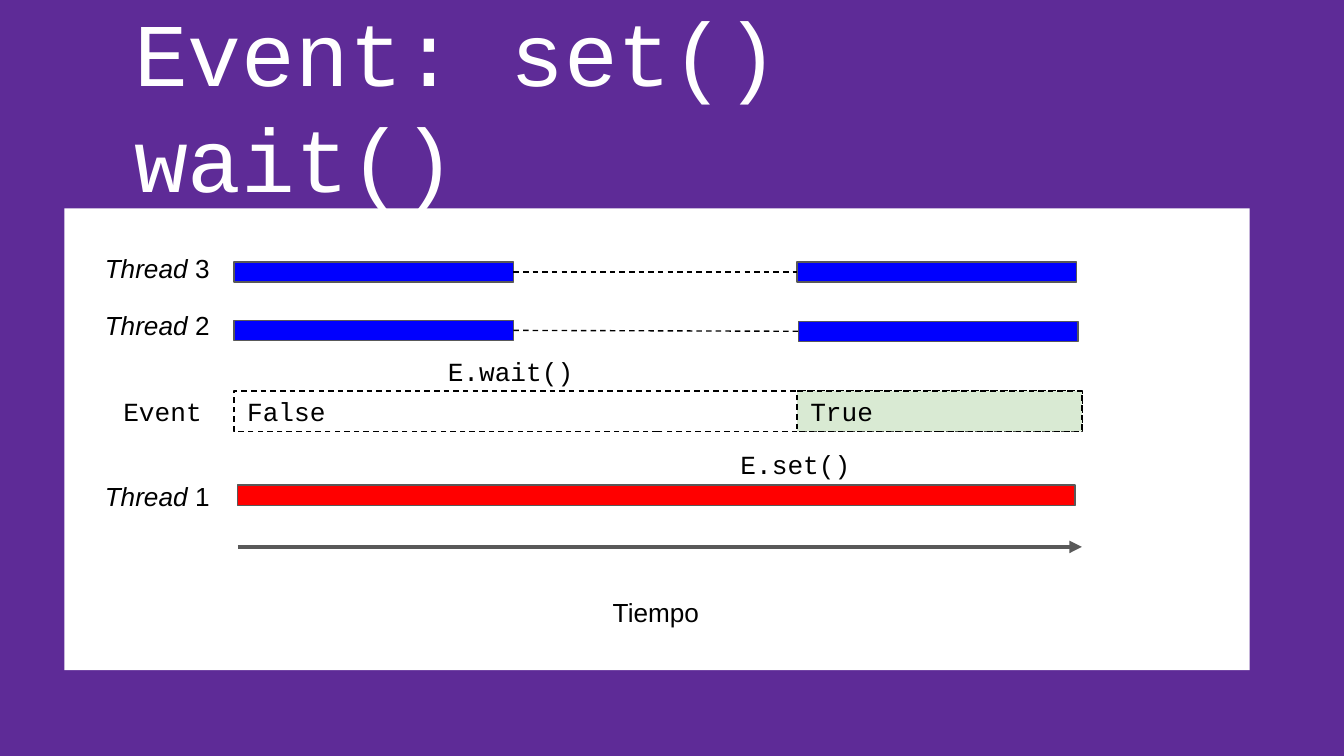
from dataclasses import dataclass

from lxml.etree import SubElement
from pptx import Presentation
from pptx.dml.color import RGBColor
from pptx.enum.dml import MSO_LINE
from pptx.enum.shapes import MSO_CONNECTOR, MSO_SHAPE
from pptx.enum.text import MSO_ANCHOR, PP_ALIGN
from pptx.oxml.ns import qn
from pptx.util import Pt


@dataclass(frozen=True)
class Theme:
    background: str = "5E2B97"
    panel: str = "FFFFFF"
    title: str = "FFFFFF"
    ink: str = "000000"
    outline: str = "595959"
    waiting: str = "0000FF"
    setter: str = "FF0000"
    true_state: str = "D9EAD3"
    sans: str = "Arial"
    mono: str = "Courier New"
    title_size: float = 48
    label_size: float = 14
    thin: float = 0.75
    thick: float = 2.25
    inset: float = 7.2


def color(value):
    return RGBColor.from_string(value)


def write_text(shape, *runs, font, size, fill, align=PP_ALIGN.LEFT,
               anchor=MSO_ANCHOR.MIDDLE, inset=7.2, top_inset=None,
               line_spacing=None):
    """Fill a shape with one paragraph of (text, italic) runs."""
    frame = shape.text_frame
    frame.word_wrap = True
    frame.vertical_anchor = anchor
    frame.margin_left = frame.margin_right = frame.margin_bottom = Pt(inset)
    frame.margin_top = Pt(inset if top_inset is None else top_inset)
    paragraph = frame.paragraphs[0]
    paragraph.alignment = align
    if line_spacing:
        paragraph.line_spacing = Pt(line_spacing)
    for text, italic in runs:
        for index, part in enumerate(text.split("\n")):
            if index:
                paragraph.add_line_break()
            run = paragraph.add_run()
            run.text = part
            run.font.name = font
            run.font.size = Pt(size)
            run.font.italic = italic
            run.font.color.rgb = color(fill)


class SlideBuilder:
    def __init__(self, slide, theme):
        self.slide = slide
        self.theme = theme
        slide.background.fill.solid()
        slide.background.fill.fore_color.rgb = color(theme.background)

    def style_line(self, line, stroke, width, dashed=False):
        line.color.rgb = color(stroke)
        line.width = Pt(width)
        if dashed:
            line.dash_style = MSO_LINE.DASH

    def box(self, left, top, width, height, fill=None, stroke=None, dashed=False):
        shape = self.slide.shapes.add_shape(
            MSO_SHAPE.RECTANGLE, Pt(left), Pt(top), Pt(width), Pt(height))
        shape.shadow.inherit = False
        if fill:
            shape.fill.solid()
            shape.fill.fore_color.rgb = color(fill)
        else:
            shape.fill.background()
        if stroke:
            self.style_line(shape.line, stroke, self.theme.thin, dashed)
        else:
            shape.line.fill.background()
        return shape

    def bar(self, left, top, width, fill):
        return self.box(left, top, width, 10.8, fill, self.theme.outline)

    def state(self, text, left, width, fill=None):
        shape = self.box(left, 209.5, width, 21.6, fill, self.theme.ink, dashed=True)
        write_text(shape, (text, False), font=self.theme.mono,
                   size=self.theme.label_size, fill=self.theme.ink)

    def label(self, left, top, width, height, *runs, font=None,
              align=PP_ALIGN.CENTER, **text_format):
        shape = self.slide.shapes.add_textbox(
            Pt(left), Pt(top), Pt(width), Pt(height))
        style = {"size": self.theme.label_size, "fill": self.theme.ink,
                 "inset": self.theme.inset, **text_format}
        write_text(shape, *runs, font=font or self.theme.sans, align=align, **style)

    def line(self, start, end, stroke, width, dashed=False, arrow=False):
        connector = self.slide.shapes.add_connector(
            MSO_CONNECTOR.STRAIGHT, *(Pt(value) for value in (*start, *end)))
        self.style_line(connector.line, stroke, width, dashed)
        if arrow:
            SubElement(connector.line._get_or_add_ln(), qn("a:tailEnd"), type="triangle")
        SubElement(connector._element.spPr, qn("a:effectLst"))


def main():
    theme = Theme()
    presentation = Presentation()
    presentation.slide_width, presentation.slide_height = Pt(720), Pt(405)
    slide = presentation.slides.add_slide(presentation.slide_layouts[6])
    builder = SlideBuilder(slide, theme)

    # Panel and title
    builder.box(34.5, 111.6, 635, 247.5, theme.panel)
    builder.label(64.8, 28, 589.7, 44.6, ("Event: set()\nwait()", False),
                  font=theme.mono, size=theme.title_size, fill=theme.title,
                  align=PP_ALIGN.LEFT, top_inset=18, line_spacing=57.3)

    # Event state over time
    start, release, end = 125.3, 427, 579.6
    builder.state("False", start, end - start)
    builder.state("True", release, end - release, theme.true_state)

    # Waiting threads: running, blocked, running again
    run_width = 149.8
    for first_top, second_top, second_left in ((140.4, 140.4, release),
                                               (171.6, 172.1, release + 0.7)):
        builder.bar(start, first_top, run_width, theme.waiting)
        builder.bar(second_left, second_top, run_width, theme.waiting)
        builder.line((start + run_width, first_top + 5.4),
                     (second_left, second_top + 5.4),
                     theme.ink, theme.thin, dashed=True)

    # Setting thread and time axis
    builder.bar(127.4, 259.9, 448.6, theme.setter)
    builder.line((127.4, 293), (end, 293), theme.outline, theme.thick, arrow=True)
    builder.label(start, 281.5, 452.2, 61.9, ("Tiempo", False),
                  anchor=MSO_ANCHOR.BOTTOM)

    # Calls
    for call, left, top in (("E.wait()", 226.8, 172.1), ("E.set()", 379.4, 221.8)):
        builder.label(left, top, 93.6, 53.3, (call, False), font=theme.mono)

    # Row labels
    for number, top in ((3, 128.2), (2, 158.8), (1, 250.2)):
        builder.label(43.9, top, 80.6, 31, ("Thread", True), (f" {number}", False))
    builder.label(46.8, 204.5, 80.6, 31, ("Event", False), font=theme.mono)

    presentation.save("out.pptx")


if __name__ == "__main__":
    main()
